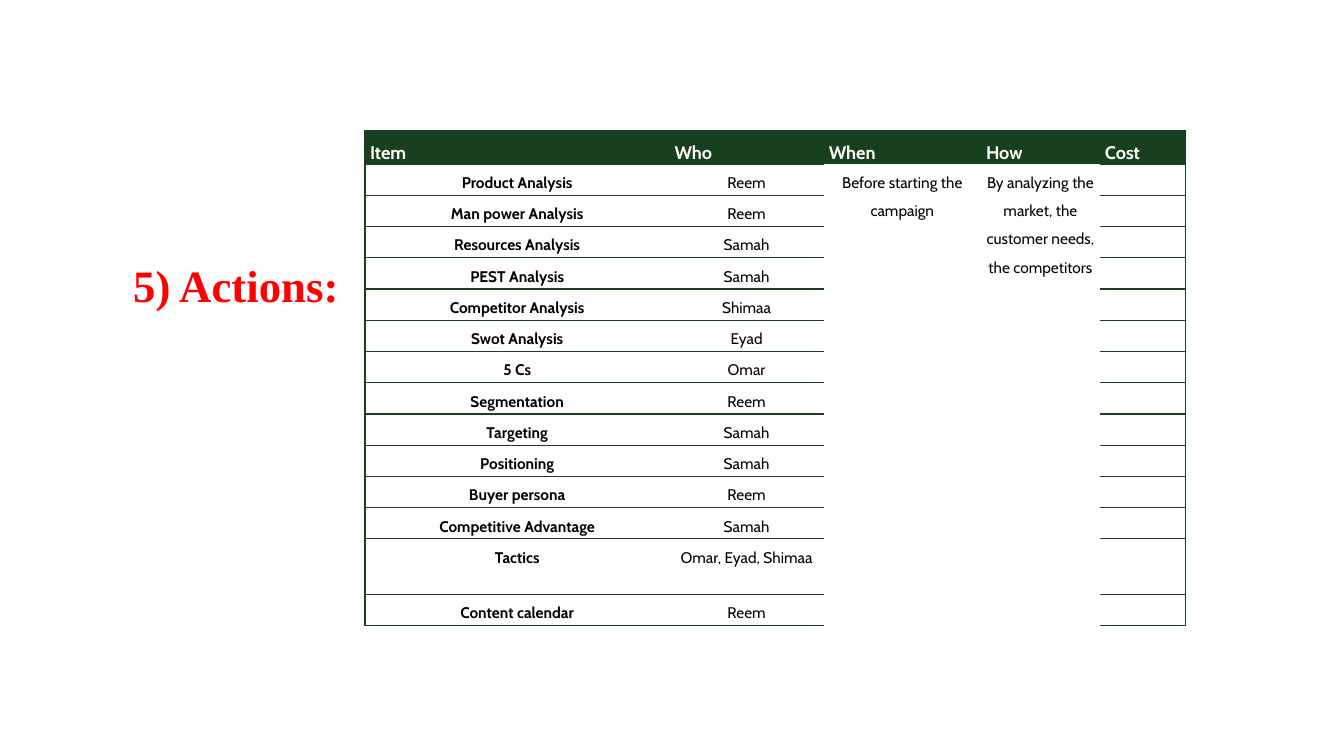
from dataclasses import dataclass

from lxml.etree import SubElement
from pptx import Presentation
from pptx.dml.color import RGBColor
from pptx.enum.text import MSO_ANCHOR, PP_ALIGN
from pptx.oxml.ns import qn
from pptx.slide import Slide
from pptx.table import Table, _Cell
from pptx.util import Inches, Pt

GREEN = RGBColor(0x18, 0x3F, 0x1E)
RED = RGBColor(0xFF, 0x00, 0x00)
WHITE = RGBColor(0xFF, 0xFF, 0xFF)
BLACK = RGBColor(0x00, 0x00, 0x00)

PLAIN_TABLE_STYLE = "{2D5ABB26-0587-4C30-8999-92F81FD0307C}"
HEADERS = ("Item", "Who", "When", "How", "Cost")
COLUMN_WIDTHS = (3.02, 1.53, 1.56, 1.18, 0.85)
WHEN, HOW, COST = 2, 3, 4
SHARED_TEXT = {
    WHEN: "Before starting the campaign",
    HOW: "By analyzing the market, the customer needs, the competitors",
}

TITLE_FORMAT = {"name": "Times New Roman", "size": Pt(32), "bold": True}
HEADER_FORMAT = {"name": "Cabin", "size": Pt(13), "bold": True}
ITEM_FORMAT = {"name": "Cabin", "size": Pt(11), "bold": True}
BODY_FORMAT = {"name": "Cabin", "size": Pt(11), "bold": False}
CELL_MARGINS = {
    "margin_left": Inches(0.05),
    "margin_right": Inches(0.05),
    "margin_top": 0,
    "margin_bottom": 0,
}


@dataclass(frozen=True)
class Action:
    item: str
    who: str
    height: float = 0.31


ACTIONS = (
    Action("Product Analysis", "Reem"),
    Action("Man power Analysis", "Reem"),
    Action("Resources Analysis", "Samah"),
    Action("PEST Analysis", "Samah"),
    Action("Competitor Analysis", "Shimaa"),
    Action("Swot Analysis", "Eyad"),
    Action("5 Cs", "Omar"),
    Action("Segmentation", "Reem"),
    Action("Targeting", "Samah"),
    Action("Positioning", "Samah"),
    Action("Buyer persona", "Reem"),
    Action("Competitive Advantage", "Samah"),
    Action("Tactics", "Omar, Eyad, Shimaa", 0.55),
    Action("Content calendar", "Reem"),
)


def set_attributes(target: object, values: dict) -> None:
    for name, value in values.items():
        setattr(target, name, value)


def write_text(frame, text: str, font_format: dict, color: RGBColor, align: PP_ALIGN) -> None:
    para = frame.paragraphs[0]
    para.alignment = align
    para.line_spacing = 1.5
    span = para.add_run()
    span.text = text
    set_attributes(span.font, font_format)
    span.font.color.rgb = color


def draw_borders(cell: _Cell, row: int, column: int) -> None:
    """Rule the outer frame, and the rows outside the shared columns."""
    ruled = column not in SHARED_TEXT
    shown = {
        "a:lnL": column == 0,
        "a:lnR": column == COST,
        "a:lnT": row == 0 or ruled,
        "a:lnB": row == len(ACTIONS) or ruled,
    }
    properties = cell._tc.get_or_add_tcPr()
    for tag in (tag for tag, visible in shown.items() if visible):
        line = SubElement(properties, qn(tag), w=str(Pt(1)))
        fill = SubElement(line, qn("a:solidFill"))
        SubElement(fill, qn("a:srgbClr"), val=str(GREEN))


def format_cell(cell: _Cell, row: int, column: int) -> None:
    set_attributes(cell, CELL_MARGINS)
    draw_borders(cell, row, column)
    if row == 0:
        cell.fill.solid()
        cell.fill.fore_color.rgb = GREEN
    else:
        cell.fill.background()
    if not cell.text:
        cell.text_frame.paragraphs[0]._p.get_or_add_endParaRPr().set("sz", "1100")


def fill_table(table: Table) -> None:
    for column, header in enumerate(HEADERS):
        write_text(table.cell(0, column).text_frame, header, HEADER_FORMAT, WHITE, PP_ALIGN.LEFT)
    for row, action in enumerate(ACTIONS, start=1):
        for column, (text, font_format) in enumerate(
            ((action.item, ITEM_FORMAT), (action.who, BODY_FORMAT))
        ):
            frame = table.cell(row, column).text_frame
            write_text(frame, text, font_format, BLACK, PP_ALIGN.CENTER)
    for column, text in SHARED_TEXT.items():
        cell = table.cell(1, column)
        cell.merge(table.cell(len(ACTIONS), column))
        write_text(cell.text_frame, text, BODY_FORMAT, BLACK, PP_ALIGN.CENTER)


def add_actions_table(page: Slide) -> None:
    heights = [0.31] + [action.height for action in ACTIONS]
    table = page.shapes.add_table(
        len(heights), len(HEADERS), Inches(3.62), Inches(1.3),
        Inches(sum(COLUMN_WIDTHS)), Inches(sum(heights)),
    ).table
    table.horz_banding = False
    table._tbl.tblPr.find(qn("a:tableStyleId")).text = PLAIN_TABLE_STYLE
    for column, width in zip(table.columns, COLUMN_WIDTHS):
        column.width = Inches(width)
    for row, height in zip(table.rows, heights):
        row.height = Inches(height)
    fill_table(table)
    for row in range(len(heights)):
        for column in range(len(HEADERS)):
            format_cell(table.cell(row, column), row, column)


def add_title(page: Slide) -> None:
    title = page.shapes.title
    set_attributes(title, {
        "left": Inches(1.22), "top": Inches(2.24),
        "width": Inches(2.4), "height": Inches(0.82),
    })
    title.text_frame.vertical_anchor = MSO_ANCHOR.TOP
    write_text(title.text_frame, "5) Actions:", TITLE_FORMAT, RED, PP_ALIGN.LEFT)
    title.text_frame.paragraphs[0].space_after = Pt(8)


def main() -> None:
    deck = Presentation()
    deck.slide_width = Inches(13.33)
    deck.slide_height = Inches(7.5)
    page = deck.slides.add_slide(deck.slide_layouts[5])
    add_title(page)
    add_actions_table(page)
    deck.save("out.pptx")


if __name__ == "__main__":
    main()
